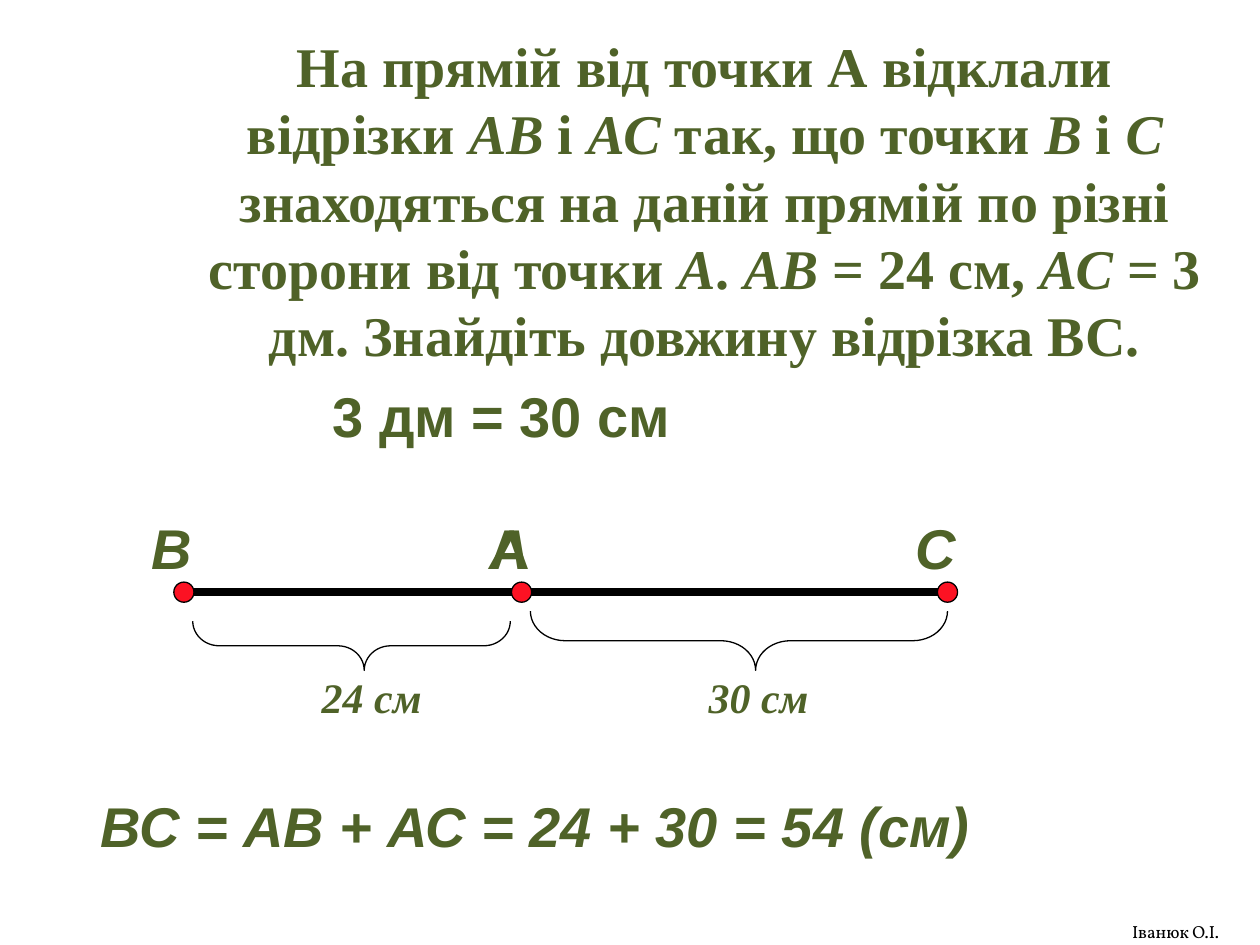
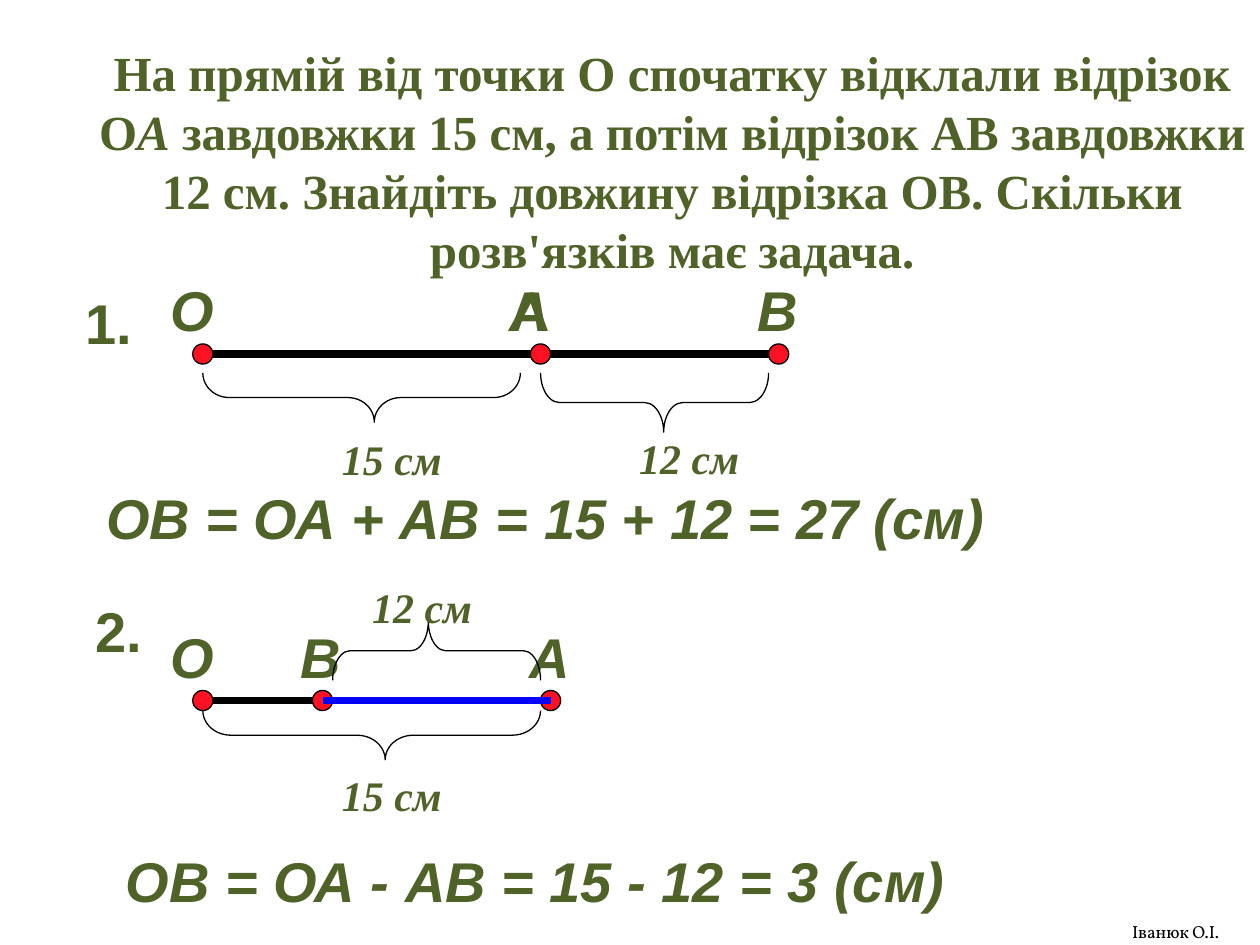
"""Build two geometry slides about adding and subtracting segment lengths."""
from dataclasses import dataclass
from itertools import pairwise

from lxml.etree import SubElement
from pptx import Presentation
from pptx.dml.color import RGBColor
from pptx.enum.shapes import MSO_CONNECTOR, MSO_SHAPE
from pptx.enum.text import MSO_ANCHOR as Anchor, PP_ALIGN as Align
from pptx.oxml.ns import qn
from pptx.slide import Slide
from pptx.util import Inches, Pt

COLORS = {"text": "4F6228", "point": "FC1223", "line": "000000", "overlap": "0000FF"}
SERIF, SANS = "Times New Roman", "Arial"
FORMATS = {
    "problem": {"name": SERIF, "size": Pt(32), "bold": True, "italic": False},
    "long_problem": {"name": SERIF, "size": Pt(28), "bold": True, "italic": False},
    "note": {"name": SANS, "size": Pt(32), "bold": True, "italic": False},
    "formula": {"name": SANS, "size": Pt(32), "bold": True, "italic": True},
    "length": {"name": SERIF, "size": Pt(24), "bold": True, "italic": True},
    "author": {"name": "Vollkorn", "size": Pt(10), "bold": False, "italic": False},
}
DOT, LETTER_RISE = 0.16, 0.71


@dataclass
class Caption:
    text: str
    left: float
    top: float
    width: float
    height: float
    style: str
    tail: int = 0
    color: str = "text"
    anchor: Anchor = Anchor.MIDDLE


@dataclass
class Point:
    letter: str
    x: float
    letter_x: float
    doubled: bool = False


@dataclass
class Measure:
    text: str
    text_x: float
    text_top: float
    left: float
    top: float
    length: float
    depth: float
    upward: bool = False


@dataclass
class Diagram:
    y: float
    points: list[Point]
    measures: list[Measure]
    overlap: tuple[float, float] | None = None


@dataclass
class Problem:
    captions: list[Caption]
    diagrams: list[Diagram]


AUTHOR = Caption("Іванюк О.І.", 8.66, 7.26, 1.34, 0.24, "author",
                 color="line", anchor=Anchor.TOP)

PROBLEMS = [
    Problem(
        [
            Caption("На прямій від точки А відклали відрізки *АВ* і *АС* так, що точки "
                    "*В* і *С* знаходяться на даній прямій по різні сторони від точки "
                    "*А*. *АВ* = 24 см, *АС* = 3 дм. Знайдіть довжину відрізка ВС.",
                    1.38, 1.07, 8.43, 1.03, "problem"),
            Caption("3 дм = 30 см", 1.69, 2.96, 4.72, 0.62, "note", tail=36),
            Caption("ВС = АВ + АС = 24 + 30 = 54 (см)", 0.59, 6.03, 7.32, 1.03, "formula"),
        ],
        [
            Diagram(
                4.7,
                [Point("В", 1.46, 1.44), Point("А", 4.14, 4.12, True),
                 Point("С", 7.52, 7.5)],
                [Measure("24 см", 2.95, 5.25, 1.53, 4.93, 2.52, 0.39),
                 Measure("30 см", 6.02, 5.25, 4.21, 4.85, 3.31, 0.47)],
            ),
        ],
    ),
    Problem(
        [
            Caption("На прямій від точки О спочатку відклали відрізок О*А* завдовжки "
                    "15 см, а потім відрізок АВ завдовжки 12 см. Знайдіть довжину "
                    "відрізка ОВ. Скільки розв'язків має задача.",
                    0.67, 0.76, 9.33, 1.03, "long_problem"),
            Caption("1.", 0.43, 2.25, 0.87, 0.62, "note"),
            Caption("ОВ = ОА + АВ = 15 + 12 = 27 (см)", 0.67, 3.59, 7.32, 1.03, "formula"),
            Caption("2.", 0.59, 4.69, 0.71, 0.62, "note"),
            Caption("ОВ = ОА - АВ = 15 - 12 = 3 (см)", 0.59, 6.47, 7.32, 1.03, "formula"),
        ],
        [
            Diagram(
                2.81,
                [Point("О", 1.61, 1.6), Point("А", 4.29, 4.28, True),
                 Point("В", 6.18, 6.25)],
                [Measure("15 см", 3.11, 3.36, 1.61, 2.96, 2.52, 0.39),
                 Measure("12 см", 5.47, 3.35, 4.29, 2.96, 1.81, 0.47)],
            ),
            Diagram(
                5.56,
                [Point("О", 1.61, 1.6), Point("В", 2.56, 2.62), Point("А", 4.37, 4.44)],
                [Measure("15 см", 3.11, 6.03, 1.61, 5.64, 2.68, 0.39),
                 Measure("12 см", 3.35, 4.54, 2.64, 4.93, 1.65, 0.47, upward=True)],
                overlap=(2.56, 4.37),
            ),
        ],
    ),
]


def rgb(color: str) -> RGBColor:
    return RGBColor.from_string(COLORS[color])


def draw_caption(slide: Slide, caption: Caption) -> None:
    box = slide.shapes.add_textbox(*map(Inches, (caption.left, caption.top,
                                                 caption.width, caption.height)))
    frame = box.text_frame
    frame.word_wrap, frame.vertical_anchor = True, caption.anchor
    paragraph = frame.paragraphs[0]
    paragraph.alignment = Align.CENTER
    base = FORMATS[caption.style]
    pieces = [(text, base | {"italic": base["italic"] or index % 2 == 1})
              for index, text in enumerate(caption.text.split("*"))]
    if caption.tail:
        pieces.append((" ", FORMATS["note"] | {"size": Pt(caption.tail)}))
    for text, values in pieces:
        run = paragraph.add_run()
        run.text = text
        run.font.color.rgb = rgb(caption.color)
        for attribute, value in values.items():
            setattr(run.font, attribute, value)


def draw_segment(slide: Slide, start: float, end: float, y: float, color: str) -> None:
    segment = slide.shapes.add_connector(MSO_CONNECTOR.STRAIGHT,
                                         *map(Inches, (start, y, end, y)))
    segment.line.color.rgb = rgb(color)
    segment.line.width = Pt(4.5)
    SubElement(segment._element.spPr, qn("a:effectLst"))


def draw_dot(slide: Slide, x: float, y: float) -> None:
    dot = slide.shapes.add_shape(MSO_SHAPE.OVAL, *map(
        Inches, (x - DOT / 2, y - DOT / 2, DOT, DOT)))
    dot.shadow.inherit = False
    dot.fill.solid()
    dot.fill.fore_color.rgb = rgb("point")
    dot.line.color.rgb = rgb("line")
    dot.line.width = Pt(0.75)


def draw_letter(slide: Slide, point: Point, y: float) -> None:
    width = 0.75
    for style in ("note", "formula") if point.doubled else ("formula",):
        draw_caption(slide, Caption(point.letter, point.letter_x - width / 2,
                                    y - LETTER_RISE, width, 0.62, style, tail=40))


def draw_measure(slide: Slide, measure: Measure) -> None:
    shift = (measure.length - measure.depth) / 2
    brace = slide.shapes.add_shape(MSO_SHAPE.LEFT_BRACE, *map(
        Inches, (measure.left + shift, measure.top - shift,
                 measure.depth, measure.length)))
    brace.rotation = 90 if measure.upward else 270
    brace.adjustments[0] = measure.length / 12 / measure.depth
    brace.adjustments[1] = 0.54
    brace.shadow.inherit = False
    brace.fill.background()
    brace.line.color.rgb = rgb("line")
    brace.line.width = Pt(0.75)
    width = 1.1
    draw_caption(slide, Caption(measure.text, measure.text_x - width / 2,
                                measure.text_top, width, 0.38, "length", tail=40))


def draw_diagram(slide: Slide, diagram: Diagram) -> None:
    for start, end in pairwise(diagram.points):
        draw_segment(slide, start.x, end.x, diagram.y, "line")
    for point in diagram.points:
        draw_dot(slide, point.x, diagram.y)
    if diagram.overlap:
        draw_segment(slide, *diagram.overlap, diagram.y, "overlap")
    for point in diagram.points:
        draw_letter(slide, point, diagram.y)
    for measure in diagram.measures:
        draw_measure(slide, measure)


def main() -> None:
    deck = Presentation()
    deck.slide_width, deck.slide_height = Inches(10), Inches(7.5)
    for problem in PROBLEMS:
        slide = deck.slides.add_slide(deck.slide_layouts[6])
        for diagram in problem.diagrams:
            draw_diagram(slide, diagram)
        for caption in [*problem.captions, AUTHOR]:
            draw_caption(slide, caption)
    deck.save("out.pptx")


if __name__ == "__main__":
    main()
